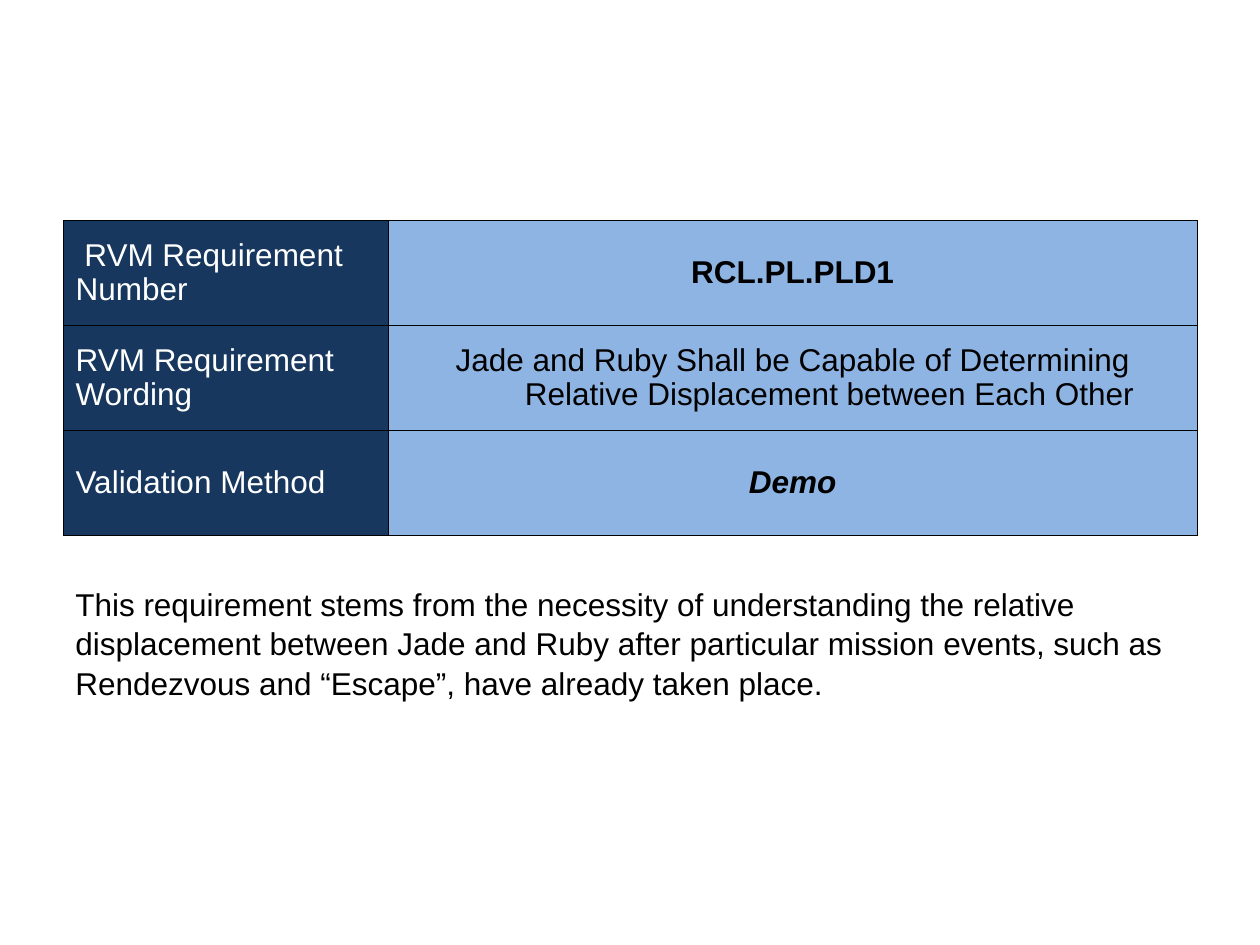
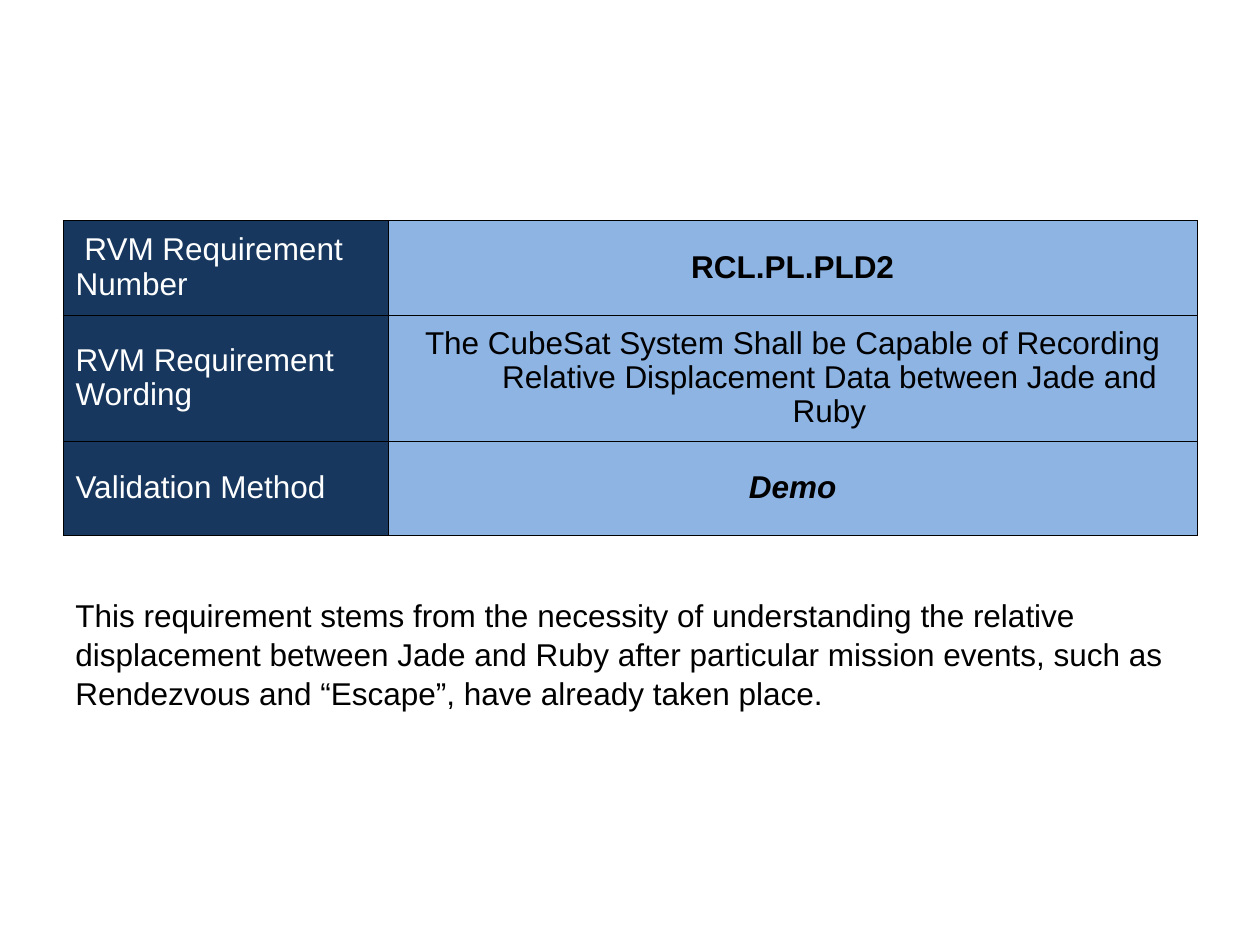
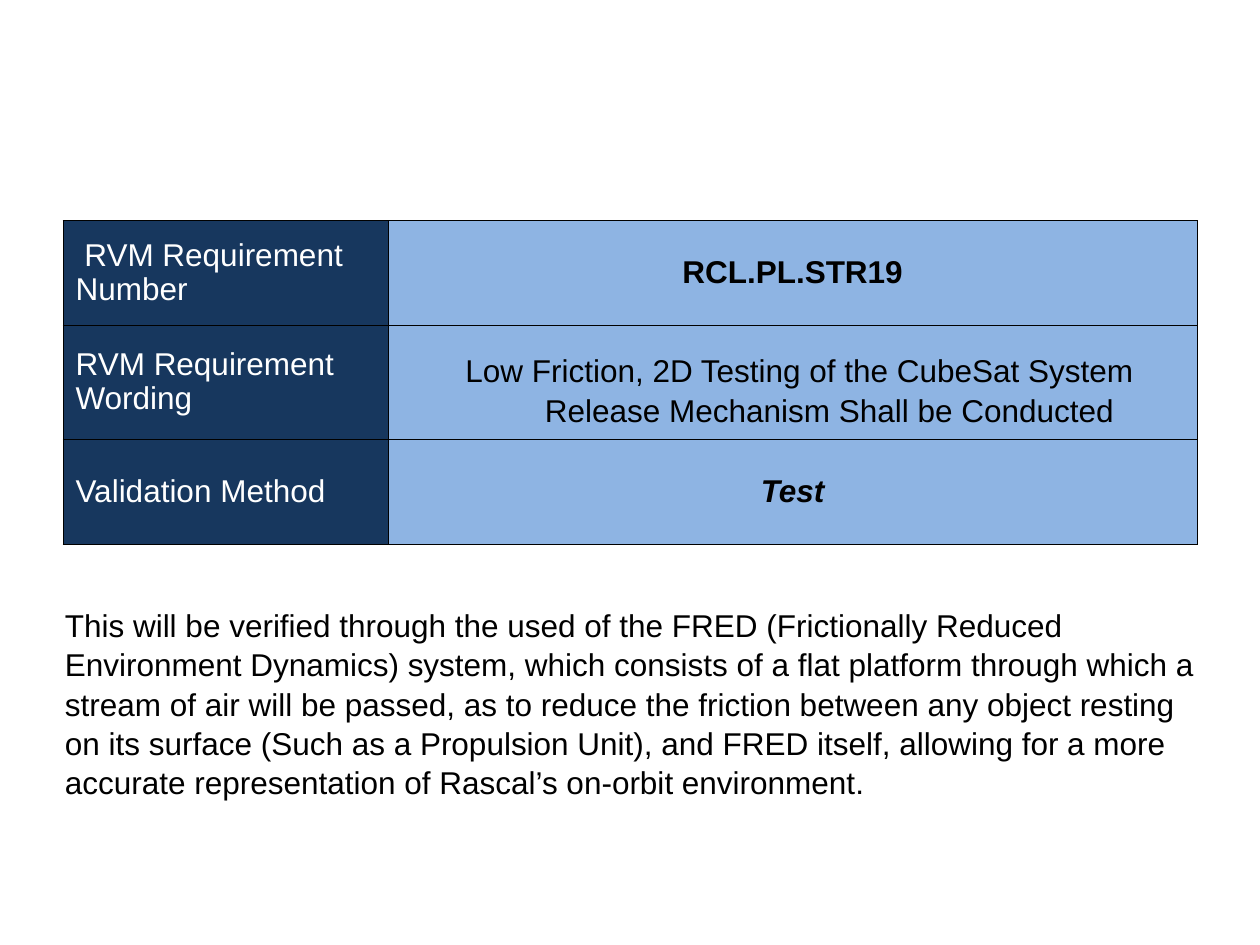
from dataclasses import dataclass

from lxml.etree import SubElement
from pptx import Presentation
from pptx.dml.color import RGBColor
from pptx.enum.text import MSO_AUTO_SIZE as AutoSize, MSO_ANCHOR as Anchor, PP_ALIGN as Align
from pptx.oxml.ns import qn
from pptx.util import Inches, Pt

# The 10 x 7.5 inch page is a grid of 120 columns by 90 rows.
GRID_COLUMNS, GRID_ROWS = 120, 90
CELL = Inches(10) // GRID_COLUMNS

FONT, TEXT_SIZE = "Arial", 18
BLACK, WHITE, NAVY, SKY = "000000", "FFFFFF", "17375E", "8EB4E3"
BORDER_WIDTH = Pt(0.45)
TABLE_LEFT, TABLE_TOP = 6, 21
TABLE_COLUMNS = (31, 77)
LABELS = (" RVM Requirement Number", "RVM Requirement Wording", "Validation Method")
HANGING_INDENT = 7 * CELL
TABLE_SPACING, RATIONALE_SPACING = 0.97, 1.04

DISPLACEMENT_RATIONALE = (
    "This requirement stems from the necessity of understanding the relative "
    "displacement between Jade and Ruby after particular mission events, such as "
    "Rendezvous and “Escape”, have already taken place."
)
FRICTION_RATIONALE = (
    "This will be verified through the used of the FRED (Frictionally Reduced "
    "Environment Dynamics) system, which consists of a flat platform through which "
    "a stream of air will be passed, as to reduce the friction between any object "
    "resting on its surface (Such as a Propulsion Unit), and FRED itself, allowing "
    "for a more accurate representation of Rascal’s on-orbit environment."
)


@dataclass
class Requirement:
    """One slide; row heights and the rationale's place are in grid units."""
    number: str
    wording: str
    method: str
    rationale: str
    row_heights: tuple
    rationale_place: tuple
    lead_size: int = 0
    wording_spacing: float = TABLE_SPACING


REQUIREMENTS = (
    Requirement(
        "RCL.PL.PLD1",
        "Jade and Ruby Shall be Capable of Determining Relative Displacement "
        "between Each Other",
        "Demo", DISPLACEMENT_RATIONALE, (10, 10, 10), (6, 55, 108, 12)),
    Requirement(
        "RCL.PL.PLD2",
        "The CubeSat System Shall be Capable of Recording Relative Displacement "
        "Data between Jade and Ruby",
        "Demo", DISPLACEMENT_RATIONALE, (9, 12, 9), (6, 56, 110, 12)),
    Requirement(
        "RCL.PL.STR19",
        "Low Friction, 2D Testing of the CubeSat System Release Mechanism Shall "
        "be Conducted",
        "Test", FRICTION_RATIONALE, (10, 10.5, 10), (5, 57, 110, 19),
        lead_size=28, wording_spacing=1.05),
)


def color(hex_string):
    return RGBColor.from_string(hex_string)


def grid(units):
    return int(units * CELL)


def add_span(para, text, ink=BLACK, size=TEXT_SIZE, bold=False, italic=False):
    span = para.add_run()
    span.text = text
    font = span.font
    font.name, font.size = FONT, Pt(size)
    font.bold, font.italic = bold, italic
    font.color.rgb = color(ink)


def hang(para):
    """Indent every line but the first."""
    properties = para._p.get_or_add_pPr()
    properties.set("marL", str(HANGING_INDENT))
    properties.set("indent", str(-HANGING_INDENT))


def add_borders(cell):
    properties = cell._tc.get_or_add_tcPr()
    for side in ("a:lnL", "a:lnR", "a:lnT", "a:lnB"):
        line = SubElement(properties, qn(side), w=str(BORDER_WIDTH))
        fill = SubElement(line, qn("a:solidFill"))
        SubElement(fill, qn("a:srgbClr"), val=BLACK)


def style_cell(cell, fill, align, spacing=TABLE_SPACING):
    """Dress the cell and return its paragraph."""
    add_borders(cell)
    cell.fill.solid()
    cell.fill.fore_color.rgb = color(fill)
    cell.vertical_anchor = Anchor.MIDDLE
    para = cell.text_frame.paragraphs[0]
    para.alignment = align
    para.line_spacing = spacing
    return para


def add_requirement_table(page, requirement):
    heights = requirement.row_heights
    table = page.shapes.add_table(
        len(LABELS), len(TABLE_COLUMNS), grid(TABLE_LEFT), grid(TABLE_TOP),
        grid(sum(TABLE_COLUMNS)), grid(sum(heights))).table
    for column, width in zip(table.columns, TABLE_COLUMNS):
        column.width = grid(width)
    for row, height, label in zip(table.rows, heights, LABELS):
        row.height = grid(height)
        add_span(style_cell(row.cells[0], NAVY, Align.LEFT), label, WHITE)

    spacings = (TABLE_SPACING, requirement.wording_spacing, TABLE_SPACING)
    number, wording, method = (
        style_cell(table.cell(row, 1), SKY, Align.CENTER, spacing)
        for row, spacing in enumerate(spacings))
    add_span(number, requirement.number, bold=True)
    hang(wording)
    if requirement.lead_size:
        add_span(wording, " ", size=requirement.lead_size)
    add_span(wording, requirement.wording)
    add_span(method, requirement.method, bold=True, italic=True)


def add_rationale(page, requirement):
    box = page.shapes.add_textbox(*map(grid, requirement.rationale_place))
    frame = box.text_frame
    frame.word_wrap = True
    frame.auto_size = AutoSize.SHAPE_TO_FIT_TEXT
    para = frame.paragraphs[0]
    para.space_before = Pt(11.2)
    para.line_spacing = RATIONALE_SPACING
    add_span(para, requirement.rationale)


def main():
    deck = Presentation()
    deck.slide_width, deck.slide_height = grid(GRID_COLUMNS), grid(GRID_ROWS)
    for requirement in REQUIREMENTS:
        page = deck.slides.add_slide(deck.slide_layouts[6])
        add_requirement_table(page, requirement)
        add_rationale(page, requirement)
    deck.save("out.pptx")


if __name__ == "__main__":
    main()
